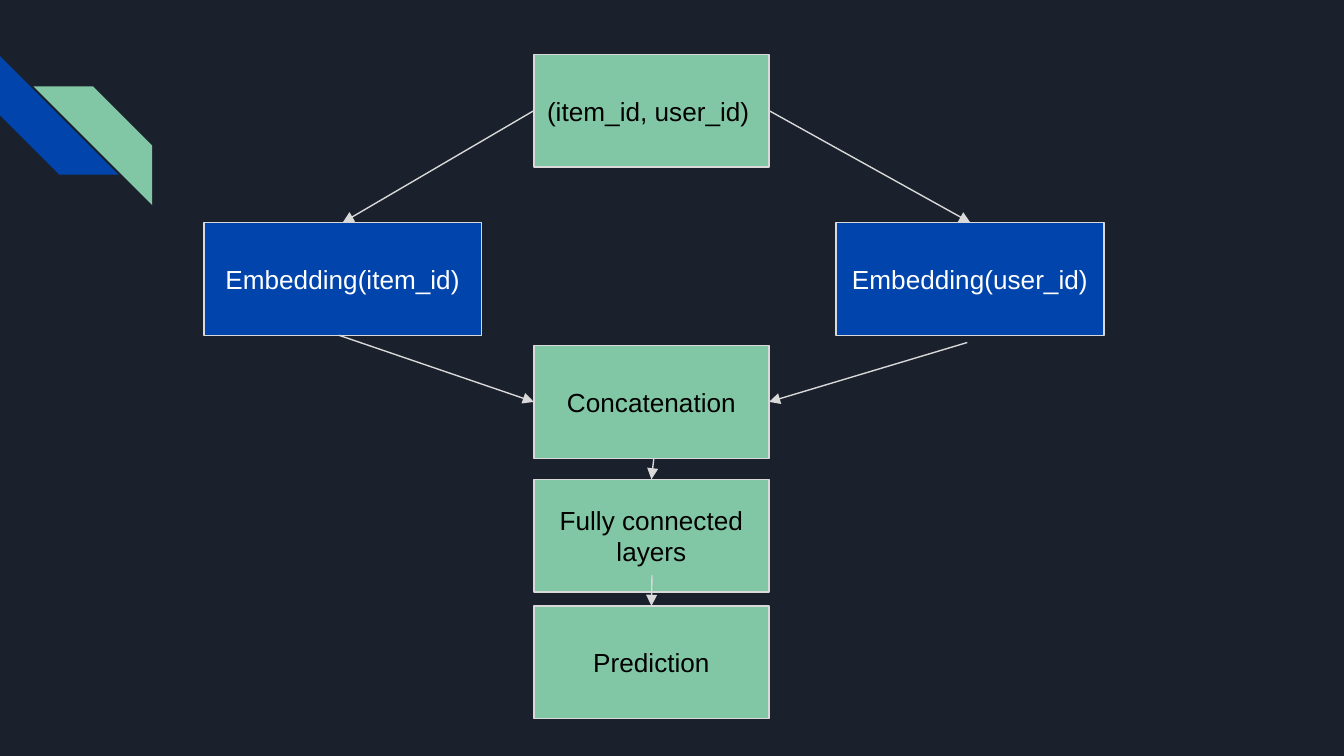
import dataclasses
import lxml.etree
import pptx
import pptx.dml.color
import pptx.enum.shapes
import pptx.enum.text
import pptx.oxml.ns
import pptx.util

Pt = pptx.util.Pt
KIND = pptx.enum.shapes.MSO_SHAPE
ALIGN = pptx.enum.text.PP_ALIGN


@dataclasses.dataclass(frozen=True)
class Theme:
    back: str = "1B212C"
    blue: str = "0145AC"
    green: str = "82C7A5"
    edge: str = "D9D9D9"
    light: str = "FFFFFF"
    dark: str = "000000"
    font: str = "Arial"
    size: float = 14
    line: float = 0.75


def tint(code):
    return pptx.dml.color.RGBColor.from_string(code)


def write(frame, text, *, font, size, color, align=ALIGN.CENTER, inset=7.2):
    """Put formatted text in a frame, centred from top to bottom."""
    frame.word_wrap = True
    frame.vertical_anchor = pptx.enum.text.MSO_ANCHOR.MIDDLE
    frame.margin_left = frame.margin_right = Pt(inset)
    frame.margin_top = frame.margin_bottom = Pt(inset)
    par = frame.paragraphs[0]
    par.alignment = align
    run = par.add_run()
    run.text = text
    run.font.name = font
    run.font.size = Pt(size)
    run.font.color.rgb = tint(color)


class Canvas:
    def __init__(self, slide, theme):
        self.slide, self.theme = slide, theme
        fill = slide.background.fill
        fill.solid()
        fill.fore_color.rgb = tint(theme.back)

    def shape(self, kind, left, top, width, height, color):
        item = self.slide.shapes.add_shape(
            kind, Pt(left), Pt(top), Pt(width), Pt(height))
        item.shadow.inherit = False
        item.fill.solid()
        item.fill.fore_color.rgb = tint(color)
        item.line.fill.background()
        return item

    def stripe(self, left, top, side, color, turn=0, flip=False):
        item = self.shape(KIND.DIAGONAL_STRIPE, left, top, side, side, color)
        item.rotation = turn
        if flip:
            item._element.spPr.xfrm.set("flipH", "1")

    def box(self, text, left, top, width, height, color, ink, align=ALIGN.CENTER):
        item = self.shape(KIND.RECTANGLE, left, top, width, height, color)
        item.line.color.rgb = tint(self.theme.edge)
        item.line.width = Pt(self.theme.line)
        write(item.text_frame, text, font=self.theme.font,
              size=self.theme.size, color=ink, align=align)

    def arrow(self, start, end):
        item = self.slide.shapes.add_connector(
            pptx.enum.shapes.MSO_CONNECTOR.STRAIGHT,
            *(Pt(val) for val in (*start, *end)))
        item.line.color.rgb = tint(self.theme.edge)
        item.line.width = Pt(self.theme.line)
        name = pptx.oxml.ns.qn
        lxml.etree.SubElement(item.line._get_or_add_ln(), name("a:tailEnd"),
                              type="triangle")
        lxml.etree.SubElement(item._element.spPr, name("a:effectLst"))


def main():
    deck = pptx.Presentation()
    deck.slide_width, deck.slide_height = Pt(720), Pt(405)
    theme = Theme()
    art = Canvas(deck.slides.add_slide(deck.slide_layouts[6]), theme)

    # Corner stripes
    art.stripe(0, 30, 63.6, theme.blue, turn=270)
    art.stripe(18, 46.3, 63.6, theme.green, flip=True)

    # Embedding boxes
    high, side = 60.4, 119.2
    for text, left, width in (("Embedding(item_id)", 109.3, 148.5),
                              ("Embedding(user_id)", 447.9, 143.5)):
        art.box(text, left, side, width, high, theme.blue, theme.light)

    # Centre column
    left, width = 286, 126
    right, mid = left + width, left + width / 2
    first, join, dense, last = 29.1, 185.1, 256.8, 324.6
    for text, top, align in (("(item_id, user_id)", first, ALIGN.LEFT),
                             ("Concatenation", join, ALIGN.CENTER),
                             ("Fully connected layers", dense, ALIGN.CENTER),
                             ("Prediction", last, ALIGN.CENTER)):
        art.box(text, left, top, width, high, theme.green, theme.dark, align)

    # Arrows from input to prediction
    half = high / 2
    for start, end in (((left, first + half), (183.6, side)),
                       ((right, first + half), (519.8, side)),
                       ((181.5, side + high), (left, join + half)),
                       ((518.2, 183.5), (right, join + half)),
                       ((mid + 1.3, join + high), (mid, dense)),
                       ((mid + 0.3, 308.2), (mid, last))):
        art.arrow(start, end)

    deck.save("out.pptx")


if __name__ == "__main__":
    main()
